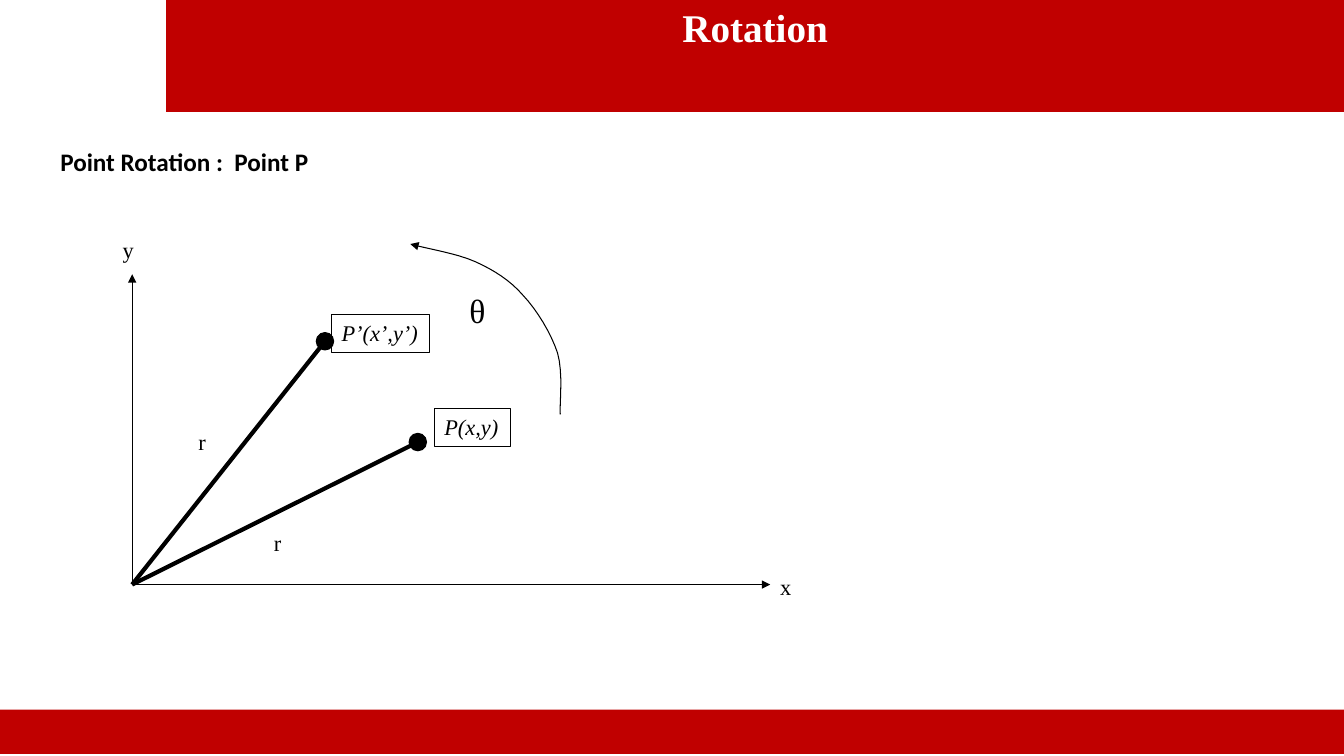
from dataclasses import dataclass

import pptx
import pptx.dml.color
import pptx.enum.shapes
import pptx.enum.text
import pptx.oxml
import pptx.oxml.ns
import pptx.util
from pptx.util import Cm

RGB = pptx.dml.color.RGBColor
SHAPE = pptx.enum.shapes.MSO_SHAPE
ALIGN = pptx.enum.text.PP_ALIGN
AUTO_SIZE = pptx.enum.text.MSO_AUTO_SIZE
Point = tuple[float, float]


@dataclass(frozen=True)
class Theme:
    red: RGB = RGB(0xC0, 0, 0)
    black: RGB = RGB(0, 0, 0)
    white: RGB = RGB(255, 255, 255)
    serif: str = "Times New Roman"
    sans: str = "Calibri"
    title: int = 28
    angle: int = 24
    heading: int = 18
    label: int = 16
    thin: float = 0.75
    thick: float = 3


THEME = Theme()


@dataclass(frozen=True)
class Label:
    text: str
    left: float
    top: float
    width: float
    height: float = 0.94
    size: int = THEME.label
    font: str = THEME.serif
    color: RGB = THEME.black
    bold: bool = False
    italic: bool = False
    wrap: bool = False
    align: ALIGN = ALIGN.LEFT


@dataclass(frozen=True)
class Segment:
    end: Point
    width: float
    arrow: bool


ORIGIN: Point = (3.33, 14.73)
P: Point = (10.53, 11.14)
P_ROTATED: Point = (8.19, 8.6)
DOT_RADIUS = 0.22

TITLE = Label("Rotation", 4.19, -0.05, 29.68, 2.87, size=THEME.title,
              color=THEME.white, bold=True, wrap=True, align=ALIGN.CENTER)
AXES = [Segment((ORIGIN[0], 6.91), THEME.thin, True),
        Segment((19.41, ORIGIN[1]), THEME.thin, True)]
RADII = [Segment(P_ROTATED, THEME.thick, False), Segment(P, THEME.thick, False)]
LABELS = [
    Label("y", 2.84, 5.82, 0.79),
    Label("x", 19.41, 14.33, 0.79),
    Label("r", 4.75, 10.67, 0.71),
    Label("r", 6.65, 13.21, 0.71),
    Label("θ", 11.58, 7.19, 0.97, 1.27, size=THEME.angle),
    Label("Point Rotation :  Point P", 1.27, 3.56, 9.25, 1.02, size=THEME.heading,
          font=THEME.sans, bold=True, wrap=True),
]
POINT_LABELS = [
    Label("P’(x’,y’)", 8.36, 7.92, 2.46, 0.97, italic=True),
    Label("P(x,y)", 10.95, 10.29, 1.91, 0.97, italic=True),
]
ARC_START: Point = (14.12, 10.44)
ARC_CURVES: list[tuple[Point, Point, Point]] = [
    ((14.1, 10.19), (14.2, 9.4), (14.05, 8.89)),
    ((13.89, 8.41), (13.54, 7.82), (13.18, 7.44)),
    ((12.85, 7.06), (12.45, 6.81), (11.99, 6.6)),
    ((11.51, 6.38), (10.67, 6.25), (10.34, 6.15)),
]
ARC_STEPS = 8


def write(s, label: Label) -> None:
    tf = s.text_frame
    tf.word_wrap = label.wrap
    tf.auto_size = AUTO_SIZE.NONE
    tf.vertical_anchor = pptx.enum.text.MSO_ANCHOR.TOP
    p = tf.paragraphs[0]
    p.alignment = label.align
    r = p.add_run()
    r.text = label.text
    r.font.name = label.font
    r.font.size = pptx.util.Pt(label.size)
    r.font.bold = label.bold
    r.font.italic = label.italic
    r.font.color.rgb = label.color


def stroke(s, width: float, arrow: bool = False) -> None:
    s.line.color.rgb = THEME.black
    s.line.width = pptx.util.Pt(width)
    if arrow:
        tail = pptx.oxml.ns.qn("a:tailEnd")
        s.line._get_or_add_ln().append(s._element.makeelement(tail, {"type": "triangle"}))


def add_shape(shapes, kind: SHAPE, left: float, top: float, width: float,
              height: float, fill: RGB | None, outlined: bool):
    s = shapes.add_shape(kind, Cm(left), Cm(top), Cm(width), Cm(height))
    s.shadow.inherit = False
    if fill is None:
        s.fill.background()
    else:
        s.fill.solid()
        s.fill.fore_color.rgb = fill
    if outlined:
        stroke(s, THEME.thin)
    else:
        s.line.fill.background()
    return s


def add_label(shapes, label: Label) -> None:
    s = shapes.add_textbox(Cm(label.left), Cm(label.top), Cm(label.width), Cm(label.height))
    write(s, label)


def add_segment(shapes, segment: Segment) -> None:
    s = shapes.add_connector(pptx.enum.shapes.MSO_CONNECTOR.STRAIGHT,
                             *map(Cm, ORIGIN), *map(Cm, segment.end))
    stroke(s, segment.width, segment.arrow)
    effects = pptx.oxml.ns.qn("a:effectLst")
    s._element.spPr.append(s._element.makeelement(effects, {}))


def add_dot(shapes, center: Point) -> None:
    x, y = center
    add_shape(shapes, SHAPE.OVAL, x - DOT_RADIUS, y - DOT_RADIUS,
              2 * DOT_RADIUS, 2 * DOT_RADIUS, THEME.black, True)


def bezier(points: tuple[Point, Point, Point, Point], t: float) -> Point:
    u = 1 - t
    weights = (u ** 3, 3 * u * u * t, 3 * u * t * t, t ** 3)
    x, y = (sum(w * v for w, v in zip(weights, axis)) for axis in zip(*points))
    return x, y


def add_rotation_arc(shapes) -> None:
    start, vertices = ARC_START, []
    for curve in ARC_CURVES:
        vertices += [bezier((start, *curve), i / ARC_STEPS) for i in range(1, ARC_STEPS + 1)]
        start = curve[-1]
    builder = shapes.build_freeform(*map(Cm, ARC_START))
    builder.add_line_segments([(Cm(x), Cm(y)) for x, y in vertices], close=False)
    s = builder.convert_to_shape()
    s.shadow.inherit = False
    s.fill.background()
    stroke(s, THEME.thin, True)


def main() -> None:
    prs = pptx.Presentation()
    prs.slide_width, prs.slide_height = Cm(33.87), Cm(19.05)
    shapes = prs.slides.add_slide(prs.slide_layouts[6]).shapes

    banner = add_shape(shapes, SHAPE.RECTANGLE, TITLE.left, TITLE.top,
                       TITLE.width, TITLE.height, THEME.red, False)
    write(banner, TITLE)
    add_shape(shapes, SHAPE.RECTANGLE, 0, 17.88, 33.87, 1.12, THEME.red, False)
    for center in (P, P_ROTATED):
        add_dot(shapes, center)
    for segment in AXES + RADII:
        add_segment(shapes, segment)
    for label in POINT_LABELS:
        s = add_shape(shapes, SHAPE.RECTANGLE, label.left, label.top,
                      label.width, label.height, None, True)
        write(s, label)
    add_rotation_arc(shapes)
    for label in LABELS:
        add_label(shapes, label)
    prs.save("out.pptx")


if __name__ == "__main__":
    main()
